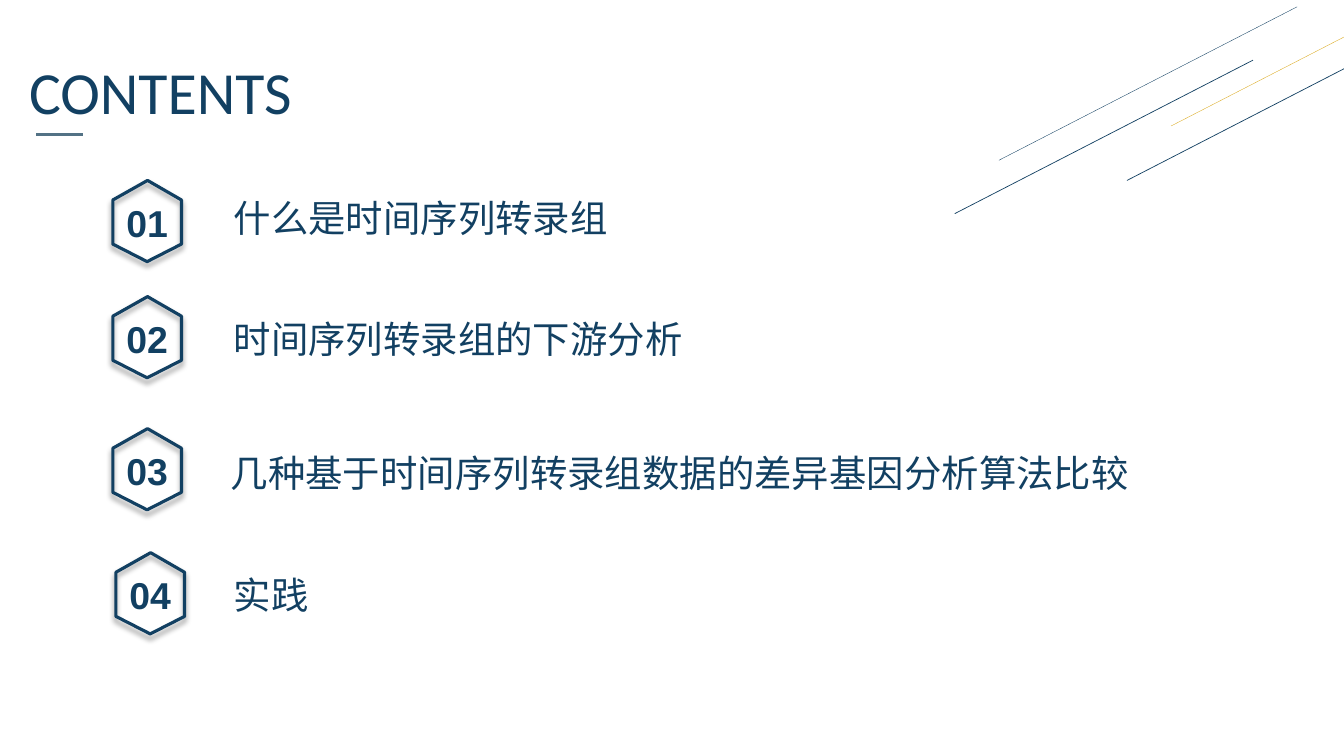
from lxml import etree
from pptx import Presentation
from pptx.dml.color import RGBColor
from pptx.enum.shapes import MSO_CONNECTOR
from pptx.enum.text import MSO_AUTO_SIZE, PP_ALIGN
from pptx.oxml.ns import qn
from pptx.util import Pt

STRAIGHT = MSO_CONNECTOR.STRAIGHT
CENTER, LEFT = PP_ALIGN.CENTER, PP_ALIGN.LEFT
FIT_SHAPE = MSO_AUTO_SIZE.SHAPE_TO_FIT_TEXT

NAVY, SLATE, GOLD = "124062", "537285", "DCAA1F"
LATIN, CHINESE = "Calibri", "Noto Sans CJK SC"
TITLE = "CONTENTS"
CHAPTERS = [
    {"text": "什么是时间序列转录组", "badge": (80.6, 128.9), "box": (159.8, 136, 319.7)},
    {"text": "时间序列转录组的下游分析", "badge": (80.6, 211.9), "box": (159.8, 222.5, 662.4)},
    {"text": "几种基于时间序列转录组数据的差异基因分析算法比较", "badge": (80.6, 306.2), "box": (157.7, 318.2, 703.4)},
    {"text": "实践", "badge": (82.8, 394.8), "box": (159.8, 405.4, 688.3)},
]
HEXAGON = [(24.8, 0), (49, 14), (49, 45.5), (24.5, 58), (0, 45.5), (0, 14)]
STREAKS = [
    (682, 152.6, NAVY, 0.5),
    (713.5, 114.5, NAVY, 0.25),
    (805, 128.9, NAVY, 0.5),
    (836.5, 90, GOLD, 0.25),
]
STREAK_RUN, STREAK_RISE = 213, 109.6
ROW_HEIGHT, ROW_SIZE = 39.6, 26.7


def color(value):
    return RGBColor.from_string(value)


def add_line(shapes, start, end, line_color, width):
    connector = shapes.add_connector(STRAIGHT, *map(Pt, start + end))
    connector.line.color.rgb = color(line_color)
    connector.line.width = Pt(width)
    etree.SubElement(connector._element.spPr, qn("a:effectLst"))


def add_text(shapes, box, text, size, font, bold=False, align=LEFT, wrap=True):
    shape = shapes.add_textbox(*map(Pt, box))
    frame = shape.text_frame
    frame.word_wrap = wrap
    frame.auto_size = FIT_SHAPE
    paragraph = frame.paragraphs[0]
    paragraph.alignment = align
    run = paragraph.add_run()
    run.text = text
    run.font.size = Pt(size)
    run.font.name = font
    run.font.bold = bold
    run.font.color.rgb = color(NAVY)
    east_asian = etree.SubElement(run._r.get_or_add_rPr(), qn("a:ea"))
    east_asian.set("typeface", font)


def add_soft_shadow(shape):
    shape.shadow.inherit = False
    effects = shape._element.spPr.find(qn("a:effectLst"))
    shadow = etree.SubElement(
        effects, qn("a:outerShdw"), blurRad=str(Pt(4)), dist=str(Pt(3)),
        dir="5400000", algn="t", rotWithShape="0")
    black = etree.SubElement(shadow, qn("a:srgbClr"), val="000000")
    etree.SubElement(black, qn("a:alpha"), val="40000")


def add_badge(slide, left, top, number):
    group = slide.shapes.add_group_shape()
    points = [(Pt(left + x), Pt(top + y)) for x, y in HEXAGON]
    builder = group.shapes.build_freeform(*points[0])
    builder.add_line_segments(points[1:], close=True)
    hexagon = builder.convert_to_shape()
    hexagon.fill.background()
    hexagon.line.color.rgb = color(NAVY)
    hexagon.line.width = Pt(2.25)
    add_soft_shadow(hexagon)
    add_text(group.shapes, (left + 2.2, top + 10.5, 44.6, ROW_HEIGHT),
             f"{number:02d}", ROW_SIZE, "Arial", True, CENTER, False)


def main():
    presentation = Presentation()
    presentation.slide_width, presentation.slide_height = Pt(960), Pt(540)
    slide = presentation.slides.add_slide(presentation.slide_layouts[6])
    shapes = slide.shapes

    add_text(shapes, (13.7, 35.3, 263.5, 59), TITLE, 42.7, LATIN)
    add_line(shapes, (25.9, 95.8), (59, 95.8), SLATE, 2.25)
    for x, y, line_color, width in STREAKS:
        add_line(shapes, (x, y), (x + STREAK_RUN, y - STREAK_RISE), line_color, width)
    for number, chapter in enumerate(CHAPTERS, 1):
        add_badge(slide, *chapter["badge"], number)
        add_text(shapes, chapter["box"] + (ROW_HEIGHT,), chapter["text"], ROW_SIZE, CHINESE)

    presentation.save("out.pptx")


if __name__ == "__main__":
    main()
